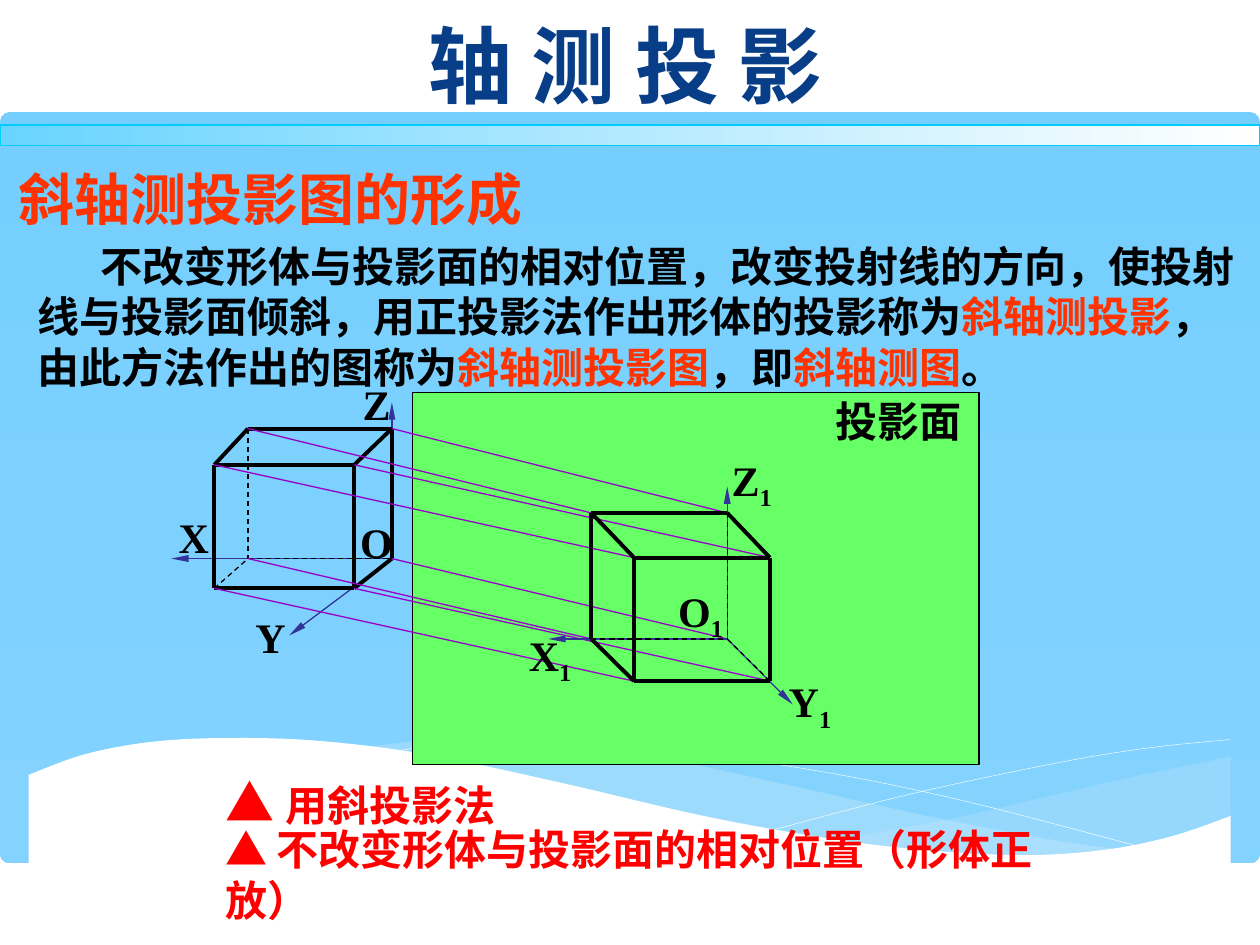
from collections import namedtuple
from dataclasses import dataclass
from itertools import combinations

from lxml import etree
from pptx import Presentation
from pptx.dml.color import RGBColor
from pptx.enum.dml import MSO_LINE
from pptx.enum.shapes import MSO_CONNECTOR, MSO_SHAPE
from pptx.enum.text import MSO_ANCHOR, MSO_AUTO_SIZE, PP_ALIGN
from pptx.oxml.ns import qn
from pptx.util import Cm, Pt

STRAIGHT = MSO_CONNECTOR.STRAIGHT
RECTANGLE, ROUNDED = MSO_SHAPE.RECTANGLE, MSO_SHAPE.ROUNDED_RECTANGLE
TOP, MIDDLE, BOTTOM = MSO_ANCHOR.TOP, MSO_ANCHOR.MIDDLE, MSO_ANCHOR.BOTTOM
LEFT, CENTER = PP_ALIGN.LEFT, PP_ALIGN.CENTER
DASH = MSO_LINE.DASH
NO_FIT, GROW = MSO_AUTO_SIZE.NONE, MSO_AUTO_SIZE.SHAPE_TO_FIT_TEXT

Box = namedtuple("Box", "left top width height")


@dataclass(frozen=True)
class Theme:
    title: str = "073E87"
    accent: str = "FF3300"
    point: str = "FF0000"
    ink: str = "000000"
    axis: str = "333399"
    ray: str = "9900CC"
    plane: str = "66FF66"
    white: str = "FFFFFF"
    wave: str = "C6E7FC"
    sky: tuple = ("75CEFE", "83D3FE")
    bar: tuple = ("69D4FF", "FFFFFF")
    bar_line: str = "00CCFF"
    title_size: int = 48
    heading_size: int = 32
    marker_size: int = 28
    text_size: int = 24
    thin: float = 0.75
    thick: float = 2.25
    hairline: float = 0.25
    title_font: str = "Cabin"
    heading_font: str = "Noto Sans CJK SC"
    text_font: str = "Times New Roman"


THEME = Theme()


def place_in_front(slide, shape, box):
    for name, value in box._asdict().items():
        setattr(shape, name, Cm(value))
    slide.shapes._spTree.append(shape._element)


def set_fill(shape, colour, alpha=None):
    shape.fill.solid()
    shape.fill.fore_color.rgb = RGBColor.from_string(colour)
    if alpha:
        colour_node = shape.fill._xPr.find(qn("a:solidFill"))[0]
        etree.SubElement(colour_node, qn("a:alpha"), val=str(alpha * 1000))


def set_gradient(shape, colours, angle):
    shape.fill.gradient()
    shape.fill.gradient_angle = angle
    for stop, colour, position in zip(shape.fill.gradient_stops, colours, (0, 1)):
        stop.color.rgb = RGBColor.from_string(colour)
        stop.position = position


def set_line(shape, colour, width):
    shape.line.color.rgb = RGBColor.from_string(colour)
    shape.line.width = Pt(width)


def add_panel(slide, kind, box):
    shape = slide.shapes.add_shape(kind, *map(Cm, box))
    shape.shadow.inherit = False
    shape.line.fill.background()
    return shape


def add_line(slide, start, end, colour, width, dashed=False, arrow=False):
    line = slide.shapes.add_connector(STRAIGHT, *map(Cm, (*start, *end)))
    set_line(line, colour, width)
    if dashed:
        line.line.dash_style = DASH
    if arrow:
        etree.SubElement(line.line._get_or_add_ln(), qn("a:tailEnd"),
                         type="triangle", w="sm", len="lg")
    etree.SubElement(line._element.spPr, qn("a:effectLst"))


def write(shape, runs, anchor=TOP, align=LEFT, fit=NO_FIT, indent=0):
    frame = shape.text_frame
    for name, value in dict(word_wrap=True, auto_size=fit, vertical_anchor=anchor).items():
        setattr(frame, name, value)
    paragraph = frame.paragraphs[0]
    for name, value in dict(alignment=align, space_before=Pt(0)).items():
        setattr(paragraph, name, value)
    properties = paragraph._p.get_or_add_pPr()
    properties.set("marL", "0")
    properties.set("indent", str(Cm(indent)))
    etree.SubElement(properties, qn("a:buNone"))
    for text, style in runs:
        run = paragraph.add_run()
        run.text = text
        formats = dict(name=THEME.text_font, size=THEME.text_size, colour=THEME.ink, bold=True)
        formats.update(style)
        run.font.color.rgb = RGBColor.from_string(formats.pop("colour"))
        formats["size"] = Pt(formats["size"])
        baseline = formats.pop("baseline", None)
        for name, value in formats.items():
            setattr(run.font, name, value)
        if baseline:
            run.font._element.set("baseline", str(baseline * 1000))


def add_text(slide, box, runs, **layout):
    write(slide.shapes.add_textbox(*map(Cm, box)), runs, **layout)


def smooth(points, steps=6):
    padded = [points[0], *points, points[-1]]
    curve = []
    for a, b, c, d in zip(padded, padded[1:], padded[2:], padded[3:]):
        for t in (step / steps for step in range(steps)):
            curve.append(tuple(
                q + 0.5 * t * (r - p + t * (2 * p - 5 * q + 4 * r - s + t * (3 * (q - r) + s - p)))
                for p, q, r, s in zip(a, b, c, d)))
    return curve + [points[-1]]


def add_curve(slide, box, points, closed):
    outline = [(Cm(box.left + x), Cm(box.top + y)) for x, y in points]
    builder = slide.shapes.build_freeform(*outline[0])
    builder.add_line_segments(outline[1:], close=closed)
    shape = builder.convert_to_shape()
    shape.shadow.inherit = False
    return shape


def draw_waves(slide, box):
    right = smooth([(24.23, 0.38), (22.45, 0.74), (20.57, 1.17), (18.57, 1.63), (16.23, 2.06)])
    right += smooth([(16.23, 2.06), (17.68, 2.24), (19.28, 2.36), (20.88, 2.36),
                     (22.45, 2.16), (24.23, 1.6)])
    middle = smooth([(6.71, 0.18), (8.15, 0.05), (10.08, 0.08), (12.5, 0.36), (15.42, 0.97),
                     (18.26, 1.6), (20.7, 2.06), (22.12, 2.26)])
    middle += smooth([(22.12, 2.26), (20.47, 2.39), (18.44, 2.34), (15.95, 2.03),
                      (12.88, 1.42), (10.26, 0.81), (8.13, 0.38), (6.71, 0.18)])
    front = smooth([(0, 0.74), (1.12, 0.33), (2.44, 0.08), (3.91, 0), (5.77, 0.05), (8.03, 0.33),
                    (10.77, 0.91), (13.51, 1.55), (15.85, 1.98), (17.86, 2.24), (19.96, 2.36),
                    (21.64, 2.26), (23.04, 1.98), (box.width, 1.57)])
    front += [(box.width, box.height), (0, box.height)]
    falling = [(7.29, 0.28), (8.38, 0.13), (10.01, 0.08), (12.4, 0.2), (15.6, 0.61),
               (18.75, 1.24), (22.48, 2.21)]
    rising = [(15.01, 1.85), (17.73, 1.14), (20.68, 0.51), (22.56, 0.2), (24.21, 0.03)]

    def fill_wave(points, colour, alpha=None):
        wave = add_curve(slide, box, points, True)
        set_fill(wave, colour, alpha)
        wave.line.fill.background()

    fill_wave(right, THEME.wave, 29)
    fill_wave(middle, THEME.wave, 40)
    for points in (falling, rising):
        strand = add_curve(slide, box, smooth(points), False)
        strand.fill.background()
        set_line(strand, THEME.white, THEME.hairline)
    fill_wave(front, THEME.white)


def draw_background(slide, box):
    sky = add_panel(slide, ROUNDED, box)
    sky.adjustments[0] = 0.013
    set_gradient(sky, THEME.sky, 270)
    draw_waves(slide, Box(box.left + 0.58, box.top + 12.62, 24.23, 3.68))


def draw_plane(slide, box):
    plane = add_panel(slide, RECTANGLE, box)
    set_fill(plane, THEME.plane)
    set_line(plane, THEME.ink, THEME.thin)
    add_text(slide, Box(box.left + 8.28, box.top - 0.08, 3.2, 1.27),
             [("投影面", {})], anchor=MIDDLE)


def cube_vertices(box, **faces):
    return {(side, column, row): (box.left + face.left + column * face.width,
                                  box.top + face.top + row * face.height)
            for side, face in faces.items() for column in (0, 1) for row in (0, 1)}


def draw_cube(slide, vertices, hidden):
    for start, end in combinations(vertices, 2):
        if sum(a != b for a, b in zip(start, end)) == 1:
            dashed = hidden in (start, end)
            add_line(slide, vertices[start], vertices[end], THEME.ink,
                     THEME.thin if dashed else THEME.thick, dashed=dashed)


def draw_axes(slide, origin, tips, labels, subscript=""):
    x, y = origin
    for dx, dy in tips:
        add_line(slide, origin, (x + dx, y + dy), THEME.axis, THEME.thin, arrow=True)
    for letter, (dx, dy) in labels.items():
        runs = [(letter, {})] + ([(subscript, {"baseline": -25})] if subscript else [])
        add_text(slide, Box(x + dx, y + dy, 1.65 if subscript else 1.12, 1.27),
                 runs, anchor=MIDDLE)


def draw_projection(slide, box):
    draw_plane(slide, Box(box.left + 4.85, box.top + 0.47, 11.43, 7.49))
    solid = cube_vertices(box, front=Box(0.86, 1.92, 2.82, 2.49), back=Box(1.54, 1.19, 2.9, 2.62))
    image = cube_vertices(box, front=Box(9.32, 3.79, 2.74, 2.49), back=Box(8.46, 2.89, 2.74, 2.54))
    origin = ("back", 1, 1)
    draw_axes(slide, solid[origin], [(-4.45, 0), (-2.07, 1.55), (0, -3.15)],
              {"O": (-0.89, -0.97), "X": (-4.55, -1.07), "Y": (-3, 0.94), "Z": (-0.84, -3.76)})
    draw_cube(slide, solid, ("back", 0, 1))
    for corner in solid:
        add_line(slide, solid[corner], image[corner], THEME.ray, THEME.thin)
    draw_axes(slide, image[origin], [(-3.61, 0), (1.32, 1.32), (0, -3.07)],
              {"O": (-1.24, -1.14), "X": (-4.25, -0.25), "Y": (0.99, 0.69), "Z": (-0.16, -3.78)},
              "1")
    draw_cube(slide, image, origin)


def write_points(slide, box):
    first, second = slide.placeholders[1], slide.placeholders[2]
    red = {"colour": THEME.point}
    place_in_front(slide, first, Box(box.left, box.top, 7.01, 1.27))
    write(first, [("▲ ", {**red, "size": THEME.marker_size}), ("用斜投影法", red)],
          anchor=MIDDLE, fit=GROW)
    place_in_front(slide, second, Box(box.left, box.top + 1.45, box.width, 1.27))
    write(second, [("▲ 不改变形体与投影面的相对位置（形体正放）", red)], anchor=MIDDLE, fit=GROW)


def write_definition(slide, box):
    accent = {"colour": THEME.accent}
    add_text(slide, Box(box.left + 0.51, box.top + 1.19, box.width - 0.51, 4.06), [
        ("不改变形体与投影面的相对位置，改变投射线的方向，使投射线与投影面倾斜，"
         "用正投影法作出形体的投影称为", {}),
        ("斜轴测投影", accent), ("，由此方法作出的图称为", {}),
        ("斜轴测投影图", accent), ("，即", {}), ("斜轴测图", accent), ("。", {})], indent=1.26)
    heading = {**accent, "name": THEME.heading_font, "size": THEME.heading_size}
    add_text(slide, Box(box.left, box.top, 10.9, 1.27), [("斜轴测投影图的形成", heading)],
             anchor=BOTTOM, align=CENTER)


def write_header(slide, box):
    title = slide.shapes.title
    place_in_front(slide, title, Box(box.left + 7.11, box.top + 0.53, 11, 1.91))
    style = {"name": THEME.title_font, "size": THEME.title_size, "colour": THEME.title}
    write(title, [("轴 测 投 影", style)], anchor=BOTTOM, align=CENTER)
    bar = add_panel(slide, RECTANGLE, Box(box.left, box.height - 0.41, box.width, 0.41))
    set_gradient(bar, THEME.bar, 0)
    set_line(bar, THEME.bar_line, THEME.thin)


def main():
    presentation = Presentation()
    presentation.slide_width, presentation.slide_height = Cm(25.4), Cm(19.05)
    slide = presentation.slides.add_slide(presentation.slide_layouts[3])
    draw_background(slide, Box(0, 2.26, 25.4, 15.14))
    draw_projection(slide, Box(3.46, 7.45, 16.3, 8))
    write_points(slide, Box(4.29, 15.54, 17.81, 2.72))
    write_definition(slide, Box(0, 3.53, 25.4, 5.25))
    write_header(slide, Box(0, 0, 25.4, 2.93))
    presentation.save("out.pptx")


if __name__ == "__main__":
    main()
